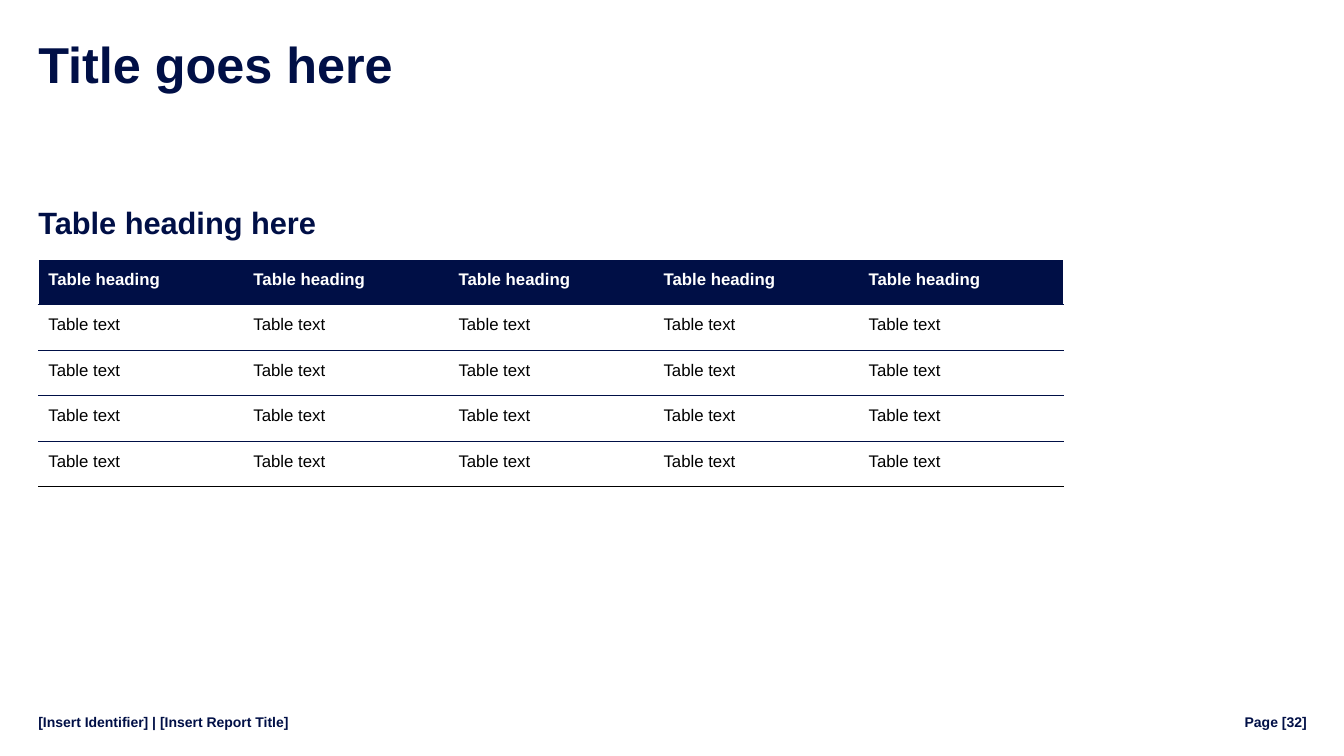
from lxml.etree import SubElement
from pptx import Presentation
from pptx.dml.color import RGBColor
from pptx.enum.text import MSO_ANCHOR, PP_ALIGN
from pptx.oxml.ns import qn
from pptx.util import Inches, Pt

NAVY, WHITE, BLACK = "000F46", "FFFFFF", "000000"
COLS = 5
ROWS = [["Table heading"] * COLS] + [["Table text"] * COLS for _ in range(4)]
TABLE = (0.38, 2.57, 10.17, 2.26)
LABELS = [
    ("Title goes here", (0.38, 0.37, 10.6, 0.58), dict(size=36, lead=40)),
    ("Table heading here", (0.38, 2.05, 5.91, 0.42),
     dict(size=22, lead=24, after=6)),
    ("[Insert Identifier] | [Insert Report Title]", (0.38, 7.04, 4.5, 0.24),
     dict(size=10, lead=12, anchor=MSO_ANCHOR.MIDDLE)),
    ("Page [32]", (11.23, 7.04, 1.73, 0.24),
     dict(size=10, lead=12, anchor=MSO_ANCHOR.MIDDLE, align=PP_ALIGN.RIGHT)),
]


def rgb(code):
    return RGBColor.from_string(code)


def write(frame, text, size=12, lead=14, color=NAVY, bold=True,
          align=PP_ALIGN.LEFT, after=0):
    frame.word_wrap = True
    par = frame.paragraphs[0]
    par.alignment = align
    par.line_spacing, par.space_after = Pt(lead), Pt(after)
    run = par.add_run()
    run.text = text
    font = run.font
    font.name, font.size, font.bold = "Arial", Pt(size), bold
    font.color.rgb = rgb(color)


def label(slide, text, box, anchor=MSO_ANCHOR.TOP, **style):
    frame = slide.shapes.add_textbox(*map(Inches, box)).text_frame
    frame.margin_left = frame.margin_right = 0
    frame.margin_top = frame.margin_bottom = 0
    frame.vertical_anchor = anchor
    write(frame, text, **style)


def edge(cell, side, color):
    """Draw one cell border, or hide it when there is no colour."""
    line = SubElement(cell._tc.get_or_add_tcPr(), qn("a:ln" + side),
                      w=str(Pt(1)))
    if color:
        fill = SubElement(line, qn("a:solidFill"))
        SubElement(fill, qn("a:srgbClr"), val=color)
    else:
        SubElement(line, qn("a:noFill"))


def grid(slide):
    table = slide.shapes.add_table(len(ROWS), COLS,
                                   *map(Inches, TABLE)).table
    table.horz_banding = False
    for col in table.columns:
        col.width = Inches(TABLE[2] / COLS)
    for row in table.rows:
        row.height = Inches(TABLE[3] / len(ROWS))
    for r, texts in enumerate(ROWS):
        head, last = r == 0, r == len(ROWS) - 1
        for c, text in enumerate(texts):
            cell = table.cell(r, c)
            cell.margin_left = cell.margin_right = Inches(0.1)
            cell.margin_top, cell.margin_bottom = Inches(0.1), Inches(0.05)
            edge(cell, "L", WHITE if head and c == 0 else None)
            edge(cell, "R", WHITE if head and c == COLS - 1 else None)
            edge(cell, "T", WHITE if head else NAVY)
            edge(cell, "B", BLACK if last else NAVY)
            cell.fill.solid()
            cell.fill.fore_color.rgb = rgb(NAVY if head else WHITE)
            write(cell.text_frame, text, bold=head,
                  color=WHITE if head else BLACK)


def main():
    deck = Presentation()
    deck.slide_width, deck.slide_height = Inches(13.33), Inches(7.5)
    slide = deck.slides.add_slide(deck.slide_layouts[6])
    for text, box, style in LABELS:
        label(slide, text, box, **style)
    grid(slide)
    deck.save("out.pptx")


if __name__ == "__main__":
    main()
